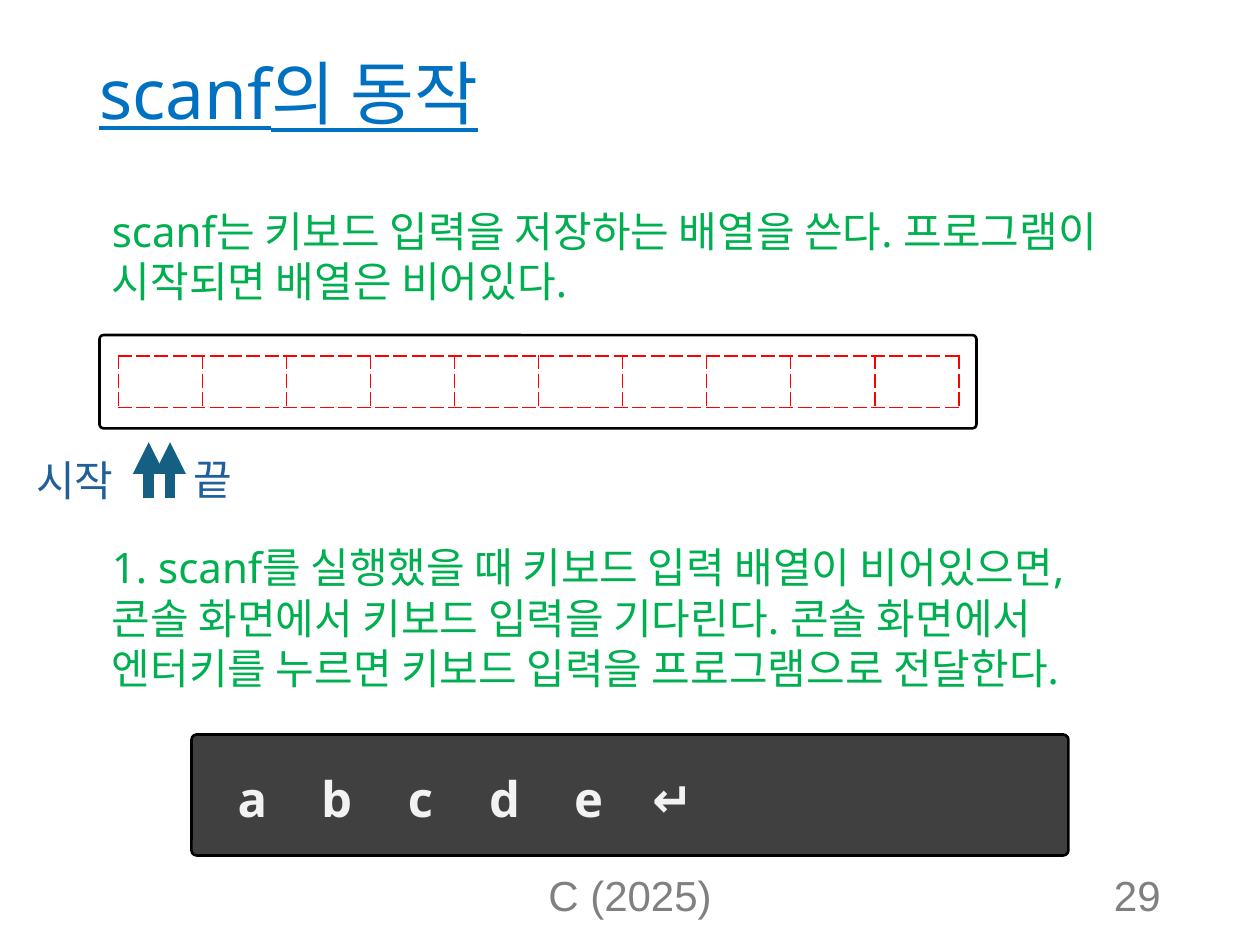
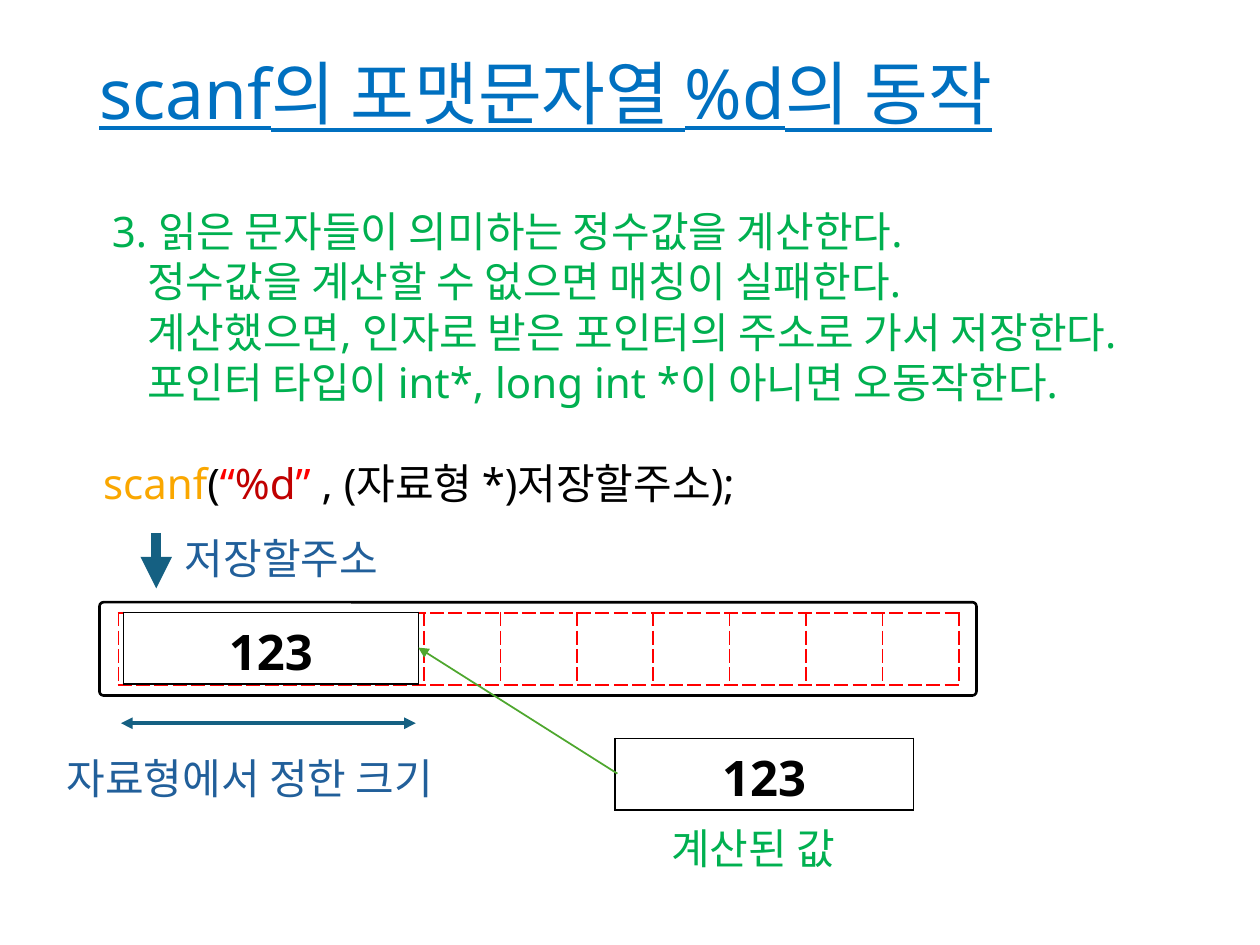
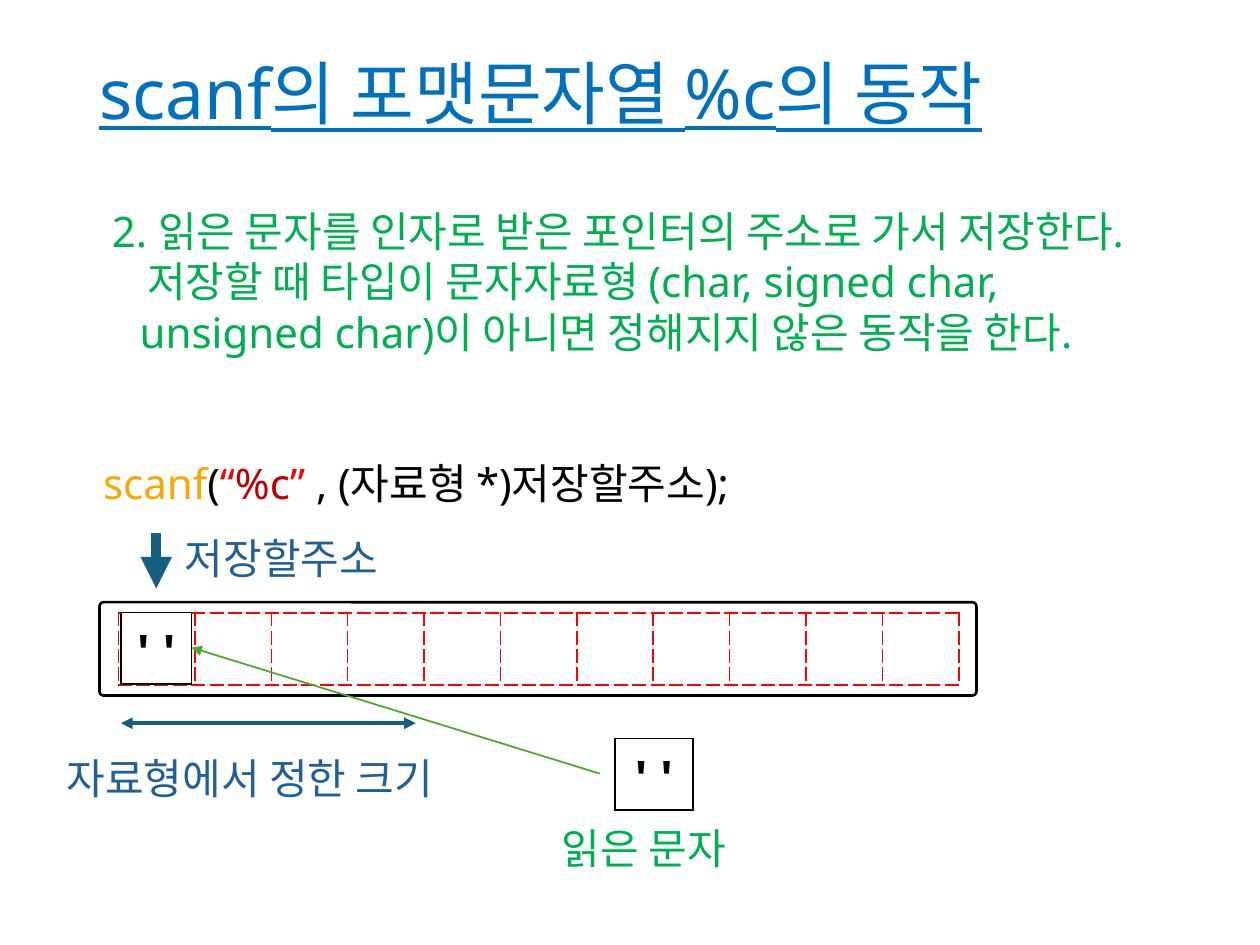
from lxml.etree import SubElement
from pptx import Presentation
from pptx.dml.color import RGBColor
from pptx.enum.shapes import MSO_CONNECTOR, MSO_SHAPE
from pptx.enum.text import MSO_ANCHOR, PP_ALIGN
from pptx.oxml.ns import qn
from pptx.util import Inches, Pt

COLORS = {
    "title": "0070C0", "body": "00B050", "label": "215F9A", "footer": "808080",
    "pointer": "156082", "copy": "4EA72E", "cell": "FF0000", "black": "000000",
    "white": "FFFFFF", "console": "404040", "typed": "F2F2F2",
    "function": "FAA700", "quote": "FF0000", "format": "C00000",
}
LATIN, KOREAN = "Noto Sans", "Noto Sans CJK KR"

TITLE = {"size": 39.6, "color": "title", "underline": True}
BODY = {"size": 24, "color": "body"}
LABEL = {"size": 24, "color": "label"}
FOOTER = {"size": 24, "color": "footer", "latin": "Arial"}
VALUE = {"size": 28, "color": "black", "bold": True}
TYPED = {"size": 28, "color": "typed", "bold": True}

BUFFER = {
    "title": "scanf의 동작",
    "intro": ["scanf는 키보드 입력을 저장하는 배열을 쓴다. 프로그램이",
              "시작되면 배열은 비어있다."],
    "step": ["1. scanf를 실행했을 때 키보드 입력 배열이 비어있으면,",
             "콘솔 화면에서 키보드 입력을 기다린다. 콘솔 화면에서",
             "엔터키를 누르면 키보드 입력을 프로그램으로 전달한다."],
    "keys": ["a", "b", "c", "d", "e", "↵"],
    "footers": [("C (2025)", 3.31, 3.38, PP_ALIGN.CENTER),
                ("29", 7.06, 2.25, PP_ALIGN.RIGHT)],
    "ends": [("시작", 0.19, 3.56, 1.18), ("끝", 1.44, 3.55, 1.35)],
}
CONVERSIONS = [
    {
        "format": "%d", "value": "123",
        "step": ["3. 읽은 문자들이 의미하는 정수값을 계산한다.",
                 "정수값을 계산할 수 없으면 매칭이 실패한다.",
                 "계산했으면, 인자로 받은 포인터의 주소로 가서 저장한다.",
                 "포인터 타입이 int*, long int *이 아니면 오동작한다."],
        "indents": [0, 0.28, 0.28, 0.28],
        "source_width": 2.37, "stored": (0.98, 2.34), "copy_from": 4.9,
        "caption": ("계산된 값", 5.23, 2.01),
    },
    {
        "format": "%c", "value": "' '",
        "step": ["2. 읽은 문자를 인자로 받은 포인터의 주소로 가서 저장한다.",
                 "저장할 때 타입이 문자자료형 (char, signed char,",
                 "unsigned char)이 아니면 정해지지 않은 동작을 한다."],
        "indents": [0, 0.28, 0.22],
        "source_width": 0.62, "stored": (0.96, 0.56), "copy_from": 4.76,
        "caption": ("읽은 문자", 4.36, 1.68),
    },
]


def rgb(name):
    return RGBColor.from_string(COLORS[name])


def add_run(paragraph, text, size, color, latin=LATIN, **formats):
    run = paragraph.add_run()
    run.text = text
    for key, value in {"size": Pt(size), "name": latin, **formats}.items():
        setattr(run.font, key, value)
    run.font.color.rgb = rgb(color)
    SubElement(run.font._element, qn("a:ea"), typeface=KOREAN)


def add_text(slide, box, lines, style, anchor=MSO_ANCHOR.TOP, indents=None, **layout):
    frame = slide.shapes.add_textbox(*map(Inches, box)).text_frame
    frame.word_wrap = True
    frame.vertical_anchor = anchor
    for number, line in enumerate(lines):
        paragraph = frame.add_paragraph() if number else frame.paragraphs[0]
        for key, value in layout.items():
            setattr(paragraph, key, value)
        if indents and indents[number]:
            paragraph._p.get_or_add_pPr().set("marL", str(Inches(indents[number])))
        for text, run_style in [(line, style)] if isinstance(line, str) else line:
            add_run(paragraph, text, **run_style)


def add_panel(slide, box, fill):
    panel = slide.shapes.add_shape(MSO_SHAPE.ROUNDED_RECTANGLE, *map(Inches, box))
    panel.adjustments[0] = 0.043
    panel.shadow.inherit = False
    panel.fill.solid()
    panel.fill.fore_color.rgb = rgb(fill)
    panel.line.color.rgb = rgb("black")
    panel.line.width = Pt(1.5)


def set_borders(cell, color, dash):
    properties = cell._tc.get_or_add_tcPr()
    for position, side in enumerate(("lnL", "lnR", "lnT", "lnB")):
        border = properties.makeelement(qn(f"a:{side}"), {"w": str(Pt(1))})
        properties.insert(position, border)
        if color:
            SubElement(SubElement(border, qn("a:solidFill")), qn("a:srgbClr"), val=COLORS[color])
            SubElement(border, qn("a:prstDash"), val=dash)
        else:
            SubElement(border, qn("a:noFill"))


def add_cells(slide, box, texts, style=VALUE, border=None, dash="solid", fill=None):
    table = slide.shapes.add_table(1, len(texts), *map(Inches, box)).table
    table.first_row = table.horz_banding = False
    for cell, text in zip(table.iter_cells(), texts):
        cell.margin_bottom = 0
        if fill:
            cell.fill.solid()
            cell.fill.fore_color.rgb = rgb(fill)
        else:
            cell.fill.background()
        set_borders(cell, border, dash)
        if text:
            paragraph = cell.text_frame.paragraphs[0]
            paragraph.alignment = PP_ALIGN.CENTER
            add_run(paragraph, text, **style)


def add_arrow(slide, start, end, color, width, ends=("tailEnd",)):
    arrow = slide.shapes.add_connector(MSO_CONNECTOR.STRAIGHT, *map(Inches, start + end))
    arrow.line.color.rgb = rgb(color)
    arrow.line.width = Pt(width)
    for tip in ends:
        SubElement(arrow.line._get_or_add_ln(), qn(f"a:{tip}"), type="triangle")
    SubElement(arrow._element.spPr, qn("a:effectLst"))


def add_titled_slide(deck, title):
    slide = deck.slides.add_slide(deck.slide_layouts[6])
    add_text(slide, (0.69, 0.4, 9.03, 0.74), [title], TITLE, MSO_ANCHOR.MIDDLE, line_spacing=0.9)
    return slide


def add_array(slide, top, count, height):
    add_panel(slide, (0.79, top, 6.96, 0.74), "white")
    add_cells(slide, (0.94, top + (0.74 - height) / 2, 6.67, height), [""] * count,
              border="cell", dash="dash")


def build_buffer(deck):
    slide = add_titled_slide(deck, BUFFER["title"])
    for text, left, width, alignment in BUFFER["footers"]:
        add_text(slide, (left, 6.95, width, 0.4), [text], FOOTER, MSO_ANCHOR.BOTTOM,
                 alignment=alignment)
    add_panel(slide, (1.52, 5.83, 6.96, 0.96), "console")
    keys = BUFFER["keys"]
    add_cells(slide, (1.67, 6.02, 6.67, 0.57), keys + [""] * (10 - len(keys)), TYPED)
    add_text(slide, (0.79, 4.25, 8.82, 1.31), BUFFER["step"], BODY)
    add_array(slide, 2.66, 10, 0.41)
    add_text(slide, (0.79, 1.58, 9.03, 0.91), BUFFER["intro"], BODY)
    for text, left, top, pointer in BUFFER["ends"]:
        add_arrow(slide, (pointer, 3.95), (pointer, 3.51), "pointer", 6)
        add_text(slide, (left, top, 0.9, 0.5), [text], LABEL)


def build_conversion(deck, conversion):
    slide = add_titled_slide(deck, f"scanf의 포맷문자열 {conversion['format']}의 동작")
    step = conversion["step"]
    add_text(slide, (0.79, 1.58, 9.21, 0.1 + 0.4 * len(step)), step, BODY,
             indents=conversion["indents"])
    add_array(slide, 4.78, 11, 0.57)
    add_arrow(slide, (1.24, 4.23), (1.24, 4.67), "pointer", 6)
    add_arrow(slide, (3.3, 5.74), (0.96, 5.74), "pointer", 2.25, ("headEnd", "tailEnd"))
    add_text(slide, (1.37, 4.18, 1.93, 0.5), ["저장할주소"], LABEL)
    add_text(slide, (0.43, 5.92, 3.53, 0.5), ["자료형에서 정한 크기"], LABEL)
    call = [("scanf", "function"), ("(", "black"), ("“", "quote"),
            (conversion["format"], "format"), ("”", "quote"),
            (" , (자료형 *)저장할주소);", "black")]
    add_text(slide, (0.72, 3.58, 6.16, 0.5),
             [[(text, {"size": 24, "color": color}) for text, color in call]], None)
    value = [conversion["value"]]
    left, width = conversion["stored"]
    add_cells(slide, (4.88, 5.86, conversion["source_width"], 0.57), value, border="black")
    add_cells(slide, (left, 4.86, width, 0.57), value, border="black", fill="white")
    add_arrow(slide, (conversion["copy_from"], 6.14), (left + width, 5.14), "copy", 1)
    caption, left, width = conversion["caption"]
    add_text(slide, (left, 6.48, width, 0.5), [caption], BODY)


def main():
    deck = Presentation()
    deck.slide_width, deck.slide_height = Inches(10), Inches(7.5)
    build_buffer(deck)
    for conversion in CONVERSIONS:
        build_conversion(deck, conversion)
    deck.save("out.pptx")


if __name__ == "__main__":
    main()
